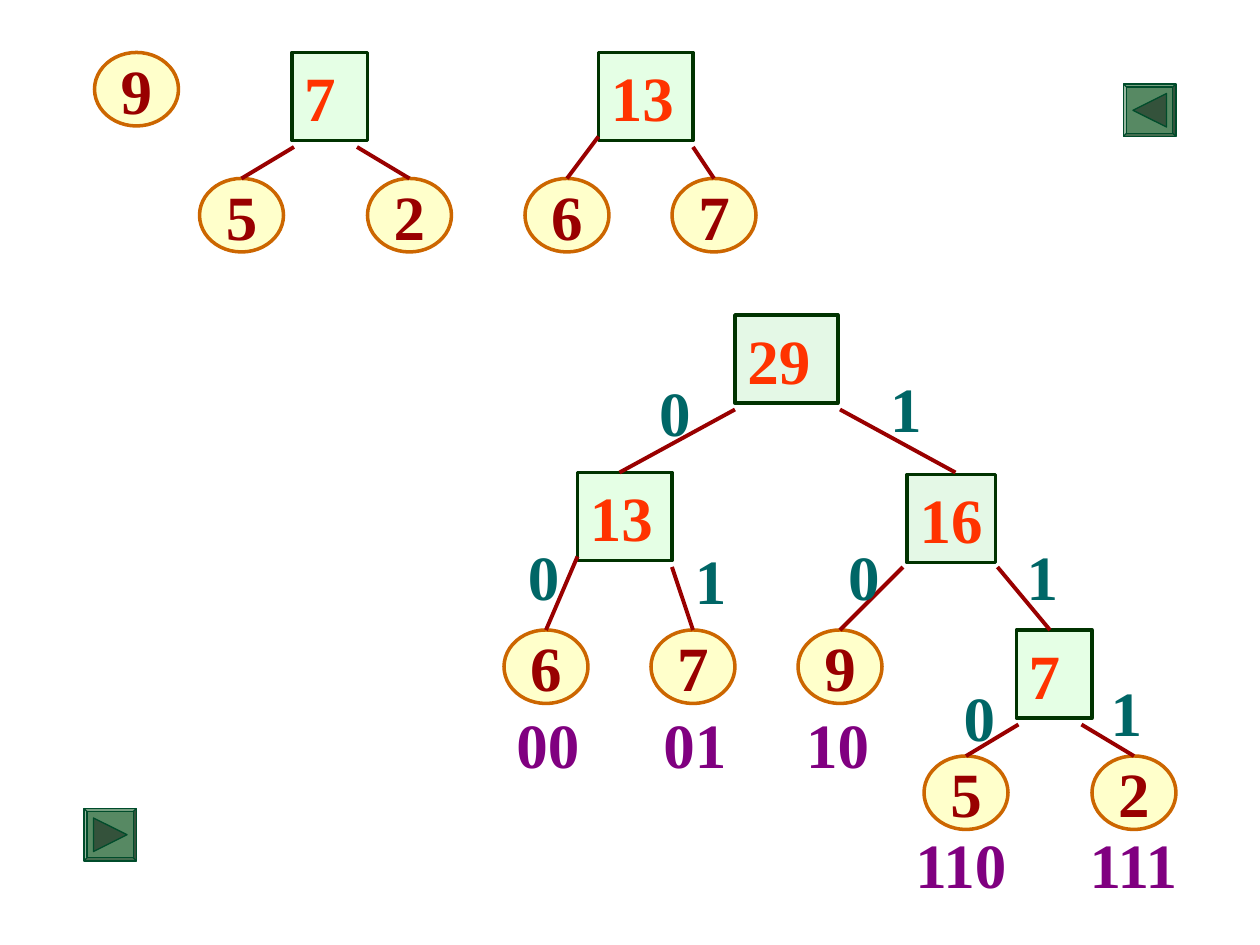
from lxml import etree
from pptx import Presentation
from pptx.dml.color import RGBColor
from pptx.enum.shapes import MSO_CONNECTOR as LINE, MSO_SHAPE as SHAPE
from pptx.enum.text import MSO_ANCHOR as ANCHOR, PP_ALIGN as ALIGN
from pptx.oxml.ns import qn
from pptx.util import Inches, Pt

CELL = 1 / 12          # grid step in inches: 120 columns by 90 rows
BOX_H = 8.4            # height of a sum box and of a label, in rows
LEAF_W, LEAF_H = 8, 7
FONT = {"name": "Times New Roman", "size": Pt(36), "bold": True}


def grid(*steps):
    return [Inches(n * CELL) for n in steps]


def rgb(code):
    return RGBColor.from_string(code)


def write(shape, text, color, align=ALIGN.LEFT, anchor=ANCHOR.TOP, wrap=False):
    tf = shape.text_frame
    for name, value in {"word_wrap": wrap, "vertical_anchor": anchor}.items():
        setattr(tf, name, value)
    p = tf.paragraphs[0]
    p.alignment = align
    r = p.add_run()
    r.text = text
    for name, value in FONT.items():
        setattr(r.font, name, value)
    r.font.color.rgb = rgb(color)


def add_shape(s, kind, area, fill, line, width, alpha=None):
    sp = s.shapes.add_shape(kind, *grid(*area))
    sp.shadow.inherit = False
    sp.fill.solid()
    sp.fill.fore_color.rgb = rgb(fill)
    if alpha:
        clr = sp.fill._xPr.find(qn("a:solidFill"))[0]
        etree.SubElement(clr, qn("a:alpha"), val=str(alpha * 1000))
    sp.line.color.rgb = rgb(line)
    sp.line.width = Pt(width)
    return sp


def add_leaf(s, col, row, text):
    sp = add_shape(s, SHAPE.OVAL, (col, row, LEAF_W, LEAF_H),
                   "FFFF99", "CC6600", 2, alpha=50)
    write(sp, text, "990000", ALIGN.CENTER, ANCHOR.MIDDLE)


def add_sum(s, col, row, width, text, fill="CCFFCC"):
    sp = add_shape(s, SHAPE.RECTANGLE, (col, row, width, BOX_H),
                   fill, "003300", 2, alpha=50)
    write(sp, text, "FF3300")


def add_branch(s, *ends):
    cxn = s.shapes.add_connector(LINE.STRAIGHT, *grid(*ends))
    cxn.line.color.rgb = rgb("990000")
    cxn.line.width = Pt(2.25)
    etree.SubElement(cxn._element.spPr, qn("a:effectLst"))


def add_label(s, col, row, text, color):
    box = s.shapes.add_textbox(*grid(col, row, 2.4 + 3 * len(text), BOX_H))
    write(box, text, color)


def add_tree_13(s, col, row, drop):
    """Sum box 13 at (col, row), its leaves drop rows below."""
    low = row + drop
    add_leaf(s, col - 7, low, "6")
    add_leaf(s, col + 7, low, "7")
    add_sum(s, col, row, 9, "13")
    add_branch(s, col, row + 8, col - 3, low)
    add_branch(s, col + 9, row + 9, col + 11, low)


def add_tree_7(s, col, row):
    """Sum box 7, with the left leaf starting at col."""
    low = row + 12
    add_leaf(s, col, low, "5")
    add_leaf(s, col + 16, low, "2")
    add_branch(s, col + 9, row + 9, col + 4, low)
    add_branch(s, col + 15, row + 9, col + 20, low)
    add_sum(s, col + 8.8, row, 7.2, "7")


def add_button(s, col, row, turn):
    bevel = add_shape(s, SHAPE.BEVEL, (col, row, 5, 5), "578963", "004C2B", 0.75)
    bevel.adjustments[0] = 0.06
    arrow = add_shape(s, SHAPE.ISOSCELES_TRIANGLE, (col + 0.9, row + 0.9, 3.2, 3.2),
                      "34523B", "004C2B", 0.75)
    arrow.rotation = turn


def main():
    prs = Presentation()
    prs.slide_width, prs.slide_height = Inches(10), Inches(7.5)
    s = prs.slides.add_slide(prs.slide_layouts[6])

    # Forest before merging
    add_leaf(s, 9, 5, "9")
    add_tree_7(s, 19, 5)
    add_tree_13(s, 57, 5, drop=12)

    # Finished Huffman tree
    add_leaf(s, 76, 60, "9")
    add_tree_7(s, 88, 60)
    add_sum(s, 86.4, 45.2, 8.4, "16", "CAF2CE")
    add_branch(s, 86, 54, 80, 60)
    add_branch(s, 95, 54, 100, 60)
    add_tree_13(s, 55, 45, drop=15)
    add_sum(s, 70, 30, 9.8, "29", "CAF2CE")
    add_branch(s, 70, 39, 59, 45)
    add_branch(s, 80, 39, 91, 45)

    # Bits on the branches
    bits = {"0": [(61.6, 35), (49.1, 50.6), (79.6, 50.6), (90.6, 64)],
            "1": [(83.6, 34.6), (65, 51), (96.6, 50.6), (104.6, 63.6)]}
    for bit, places in bits.items():
        for col, row in places:
            add_label(s, col, row, bit, "006666")

    # Codes under the leaves
    codes = [(48, 66.6, "00"), (62, 66.6, "01"), (75.6, 66.6, "10"),
             (86, 78, "110"), (102.6, 78, "111")]
    for col, row, code in codes:
        add_label(s, col, row, code, "800080")

    # Navigation buttons: back and forward
    add_button(s, 107, 8, turn=270)
    add_button(s, 8, 77, turn=90)

    prs.save("out.pptx")


if __name__ == "__main__":
    main()
